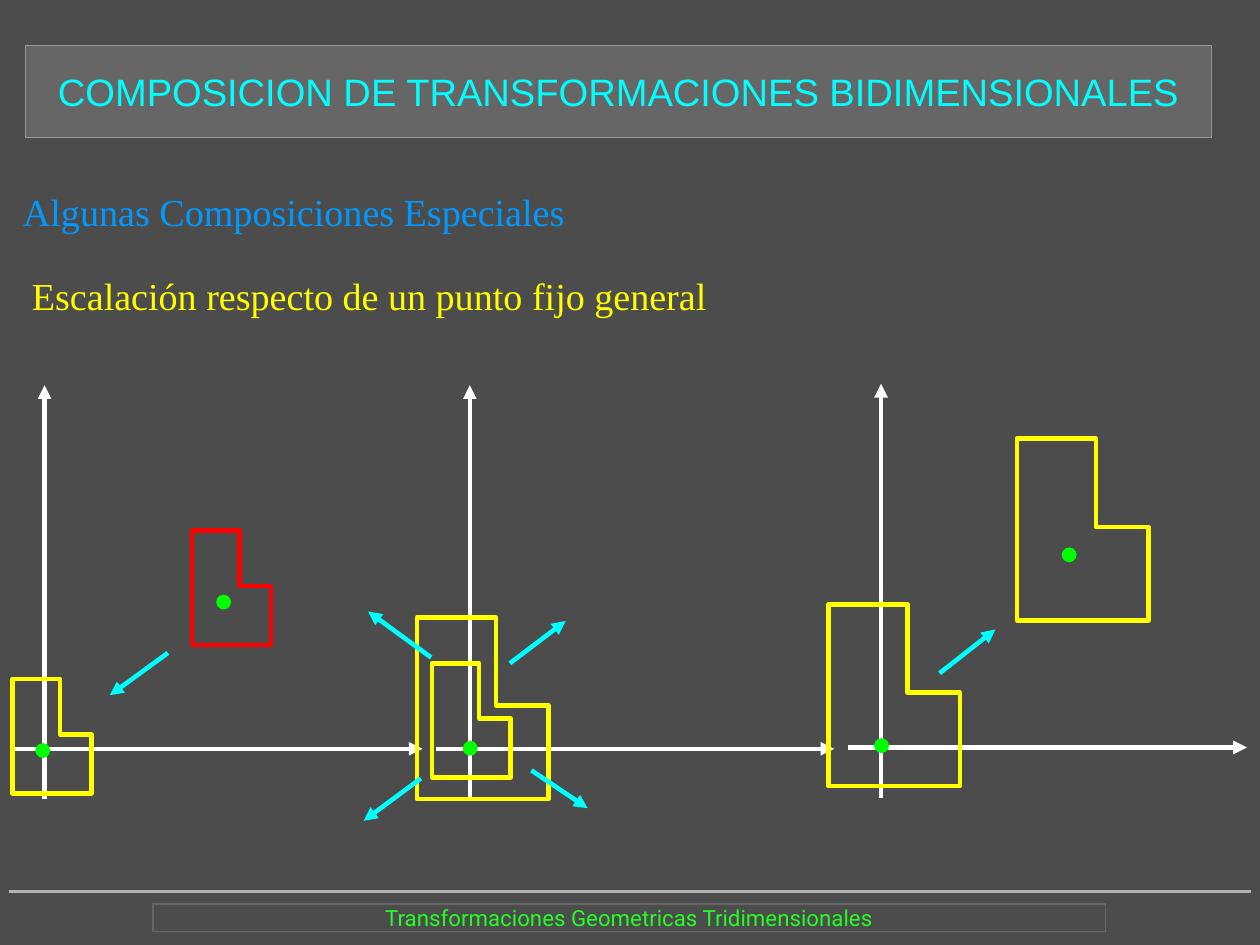
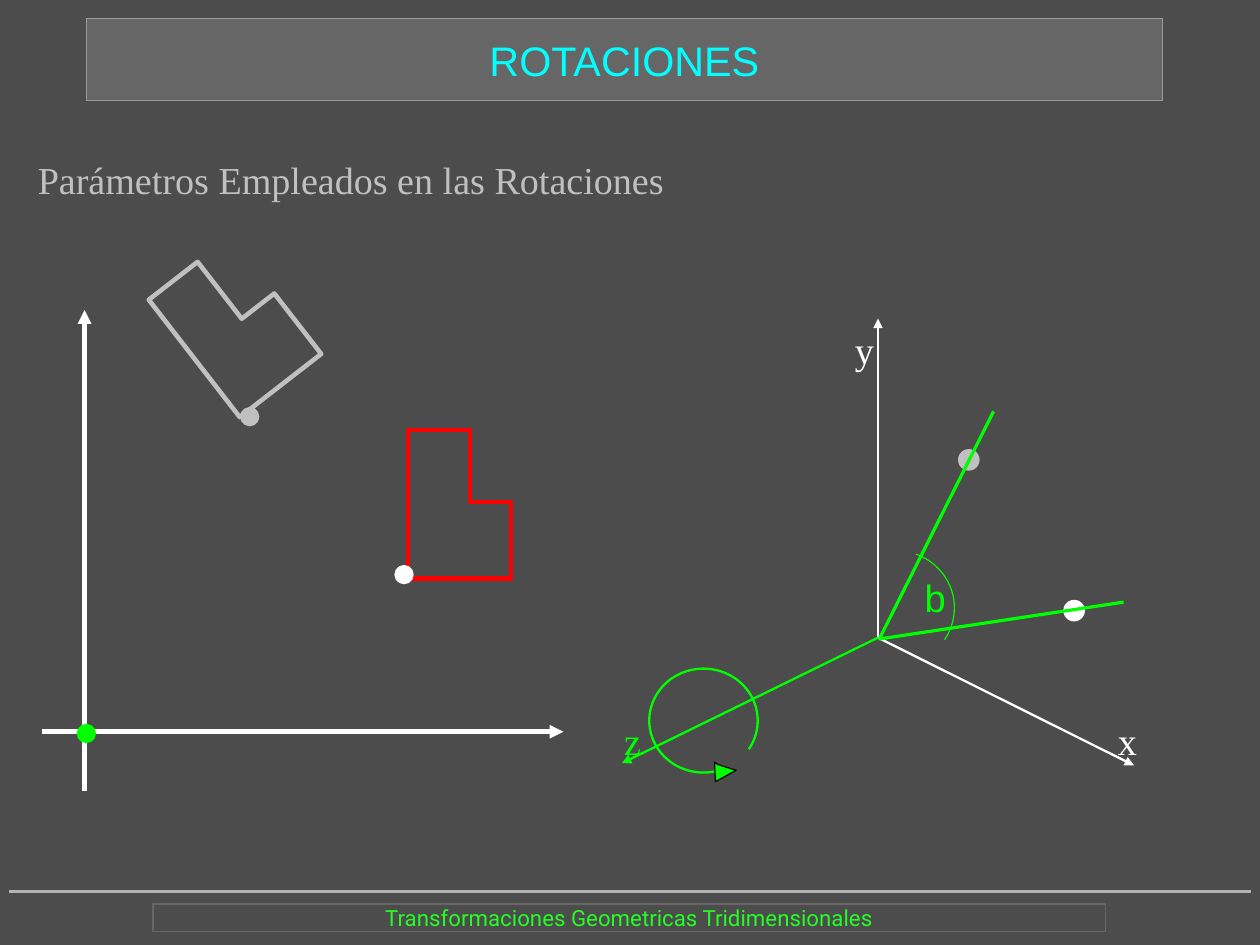
import math
from dataclasses import dataclass

import pptx
import pptx.dml.color
import pptx.enum.shapes
import pptx.enum.text
import pptx.oxml
import pptx.oxml.ns
import pptx.util

Cm = pptx.util.Cm
Pt = pptx.util.Pt
SHAPE = pptx.enum.shapes.MSO_SHAPE
ALIGN = pptx.enum.text.PP_ALIGN
ANCHOR = pptx.enum.text.MSO_ANCHOR


@dataclass(frozen=True)
class Theme:
    back: str = "4C4C4C"
    band: str = "666666"
    band_edge: str = "999999"
    rule: str = "B3B3B3"
    footer: str = "23FF23"
    cyan: str = "00FFFF"
    blue: str = "0099FF"
    yellow: str = "FFFF00"
    red: str = "FF0000"
    green: str = "00FF00"
    white: str = "FFFFFF"
    grey: str = "C0C0C0"
    black: str = "000000"
    sans: str = "Arial"
    serif: str = "Times New Roman"
    footer_font: str = "Roboto"
    body_size: float = 24
    footer_size: float = 14
    thick: float = 2.89
    medium: float = 1.45
    hairline: float = 0


T = Theme()
SMALL = (1.75, 2.54)
LARGE = (2.92, 4.04)
TURNED = (2.29, 3.3)


def rgb(value):
    return pptx.dml.color.RGBColor.from_string(value)


def paint(sp, fill=None, line=None, width=T.hairline):
    """Set fill and outline; None means there is none."""
    sp.shadow.inherit = False
    if fill:
        sp.fill.solid()
        sp.fill.fore_color.rgb = rgb(fill)
    else:
        sp.fill.background()
    if line:
        sp.line.color.rgb = rgb(line)
        sp.line.width = Pt(width)
    else:
        sp.line.fill.background()


def write(sp, text, color, size=T.body_size, font=T.serif,
          align=ALIGN.LEFT, anchor=ANCHOR.TOP):
    tf = sp.text_frame
    tf.text = text
    tf.word_wrap = True
    tf.auto_size = pptx.enum.text.MSO_AUTO_SIZE.NONE
    tf.vertical_anchor = anchor
    tf.margin_left = tf.margin_right = tf.margin_top = tf.margin_bottom = 0
    p = tf.paragraphs[0]
    p.alignment = align
    r = p.runs[0]
    r.font.name = font
    r.font.size = Pt(size)
    r.font.color.rgb = rgb(color)


class Region:
    """Draws on a slide with lengths in cm, measured from (x, y)."""

    def __init__(self, slide, x=0, y=0):
        self.shapes = slide.shapes
        self.x, self.y = x, y

    def at(self, x, y):
        return Cm(self.x + x), Cm(self.y + y)

    def line(self, start, end, color, width=T.thick, arrow=True):
        c = self.shapes.add_connector(
            pptx.enum.shapes.MSO_CONNECTOR.STRAIGHT,
            *self.at(*start), *self.at(*end))
        c.line.color.rgb = rgb(color)
        c.line.width = Pt(width)
        if arrow:
            tail = pptx.oxml.parse_xml(
                "<a:tailEnd %s type='triangle'/>" % pptx.oxml.ns.nsdecls("a"))
            c.line._get_or_add_ln().append(tail)
        c.element.spPr.append(pptx.oxml.parse_xml(
            "<a:effectLst %s/>" % pptx.oxml.ns.nsdecls("a")))
        return c

    def shape(self, kind, x, y, w, h, **look):
        sp = self.shapes.add_shape(kind, *self.at(x, y), Cm(w), Cm(h))
        paint(sp, **look)
        return sp

    def dot(self, x, y, color, size=0.33):
        self.shape(SHAPE.OVAL, x - size / 2, y - size / 2, size, size, fill=color)

    def arc(self, x, y, w, h, start, end, width):
        sp = self.shape(SHAPE.ARC, x, y, w, h, line=T.green, width=width)
        # angles are stored in 60000ths of a degree, adjustments in 100000ths
        sp.adjustments[0] = start * 0.6
        sp.adjustments[1] = end * 0.6
        return sp

    def polygon(self, points, **look):
        first, *rest = [self.at(*pt) for pt in points]
        fb = self.shapes.build_freeform(*first)
        fb.add_line_segments(rest, close=True)
        paint(fb.convert_to_shape(), **look)

    def l_shape(self, x, y, size, color, angle=0):
        """L outline with its lower left corner at (x, y), turned about it."""
        w, h = size
        cos, sin = math.cos(math.radians(angle)), math.sin(math.radians(angle))
        corners = [(0, 0), (0, 1), (0.6, 1), (0.6, 0.515), (1, 0.515), (1, 0)]
        points = [(x + u * w * cos - v * h * sin, y - u * w * sin - v * h * cos)
                  for u, v in corners]
        self.polygon(points, line=color, width=T.thick)

    def axes(self, up, down, left, right):
        self.line((0, down), (0, -up), T.white)
        self.line((-left, 0), (right, 0), T.white)

    def text(self, x, y, w, text, color):
        sp = self.shapes.add_textbox(*self.at(x, y), Cm(w), Cm(1.02))
        write(sp, text, color)


def add_footer(layout, slide):
    """Build rule and footer, then move them to the shared layout."""
    for ph in list(layout.placeholders):
        if ph.placeholder_format.idx != 0:
            ph.element.getparent().remove(ph.element)
    page = Region(slide)
    rule = page.line((0.2, 19.81), (27.79, 19.81), T.rule, T.hairline, arrow=False)
    sp = page.shape(SHAPE.RECTANGLE, 3.4, 20.09, 21.16, 0.61, line=T.band)
    write(sp, "Transformaciones Geometricas Tridimensionales", T.footer,
          T.footer_size, T.footer_font, ALIGN.CENTER, ANCHOR.MIDDLE)
    for part in (rule, sp):
        layout.shapes.element.append(part.element)


def add_title(slide, box, text, size):
    sp = slide.shapes.title
    sp.left, sp.top, sp.width, sp.height = [Cm(v) for v in box]
    sp.fill.solid()
    sp.fill.fore_color.rgb = rgb(T.band)
    sp.line.color.rgb = rgb(T.band_edge)
    sp.line.width = Pt(T.hairline)
    write(sp, text, T.cyan, size, T.sans, ALIGN.CENTER, ANCHOR.MIDDLE)


def translate_to_origin(slide, x, y):
    g = Region(slide, x, y)
    g.axes(8.08, 1.12, 0.76, 8.4)
    g.l_shape(3.28, -2.31, SMALL, T.red)
    g.dot(3.98, -3.26, T.green)
    g.l_shape(-0.71, 0.99, SMALL, T.yellow)
    g.dot(-0.04, 0.04, T.green)
    g.line((2.74, -2.13), (1.45, -1.19), T.cyan)


def scale_at_origin(slide, x, y):
    g = Region(slide, x, y)
    g.axes(8.08, 1.12, 0.74, 8.1)
    g.dot(0.01, -0.01, T.green)
    g.l_shape(-0.84, 0.64, SMALL, T.yellow)
    g.l_shape(-1.17, 1.12, LARGE, T.yellow)
    for start, end in [((-1.09, 0.66), (-2.36, 1.6)),
                       ((0.89, -1.9), (2.13, -2.84)),
                       ((-0.86, -2.03), (-2.26, -3.05)),
                       ((1.37, 0.48), (2.62, 1.32))]:
        g.line(start, end, T.cyan)


def translate_back(slide, x, y):
    g = Region(slide, x, y)
    g.axes(8.08, 1.12, 0.74, 8.13)
    g.l_shape(-1.17, 0.86, LARGE, T.yellow)
    g.dot(0.01, -0.04, T.green)
    g.line((1.3, -1.65), (2.54, -2.62), T.cyan)
    g.l_shape(3.02, -2.82, LARGE, T.yellow)
    g.dot(4.18, -4.28, T.green)


def rotation_in_plane(slide, x, y):
    g = Region(slide, x, y)
    g.axes(9.37, 1.32, 0.94, 10.64)
    g.l_shape(7.19, -3.4, TURNED, T.red)
    g.dot(7.1, -3.49, T.white, 0.43)
    g.dot(0.04, 0.04, T.green, 0.43)
    g.l_shape(3.45, -6.99, TURNED, T.grey, angle=37.8)
    g.dot(3.67, -7, T.grey, 0.43)


def rotation_in_space(slide, x, y):
    g = Region(slide, x, y)
    # Axes: name, arrow tip, label corner, colour
    for name, tip, label, color in [
            ("y", (0, -7.09), (-0.51, -6.91), T.white),
            ("x", (5.69, 2.84), (5.33, 1.78), T.white),
            ("z", (-5.69, 2.79), (-5.64, 1.78), T.green)]:
        g.line((0, 0), tip, color, T.medium)
        g.text(*label, 0.45, name, color)
    # Turn around z
    g.arc(-5.08, 0.69, 2.41, 2.31, 73.62, 32.3, T.medium)
    g.polygon([(-3.63, 2.77), (-3.61, 3.2), (-3.15, 2.95), (-3.56, 2.82)],
              fill=T.green, line=T.black)
    # Point before and after, with the angle between
    g.dot(4.36, -0.6, T.white, 0.48)
    g.dot(2.02, -3.95, T.grey, 0.48)
    for end in [(5.46, -0.79), (2.57, -5.03)]:
        g.line((0.03, 0.03), end, T.green, T.hairline, arrow=False)
    sp = g.arc(-0.89, -1.93, 2.59, 2.54, 290.43, 33.44, T.hairline)
    write(sp, "b", T.green, font=T.sans, align=ALIGN.CENTER, anchor=ANCHOR.MIDDLE)


def scaling_slide(slide):
    add_title(slide, (0.56, 1.02, 26.37, 2.03),
              "COMPOSICION DE TRANSFORMACIONES BIDIMENSIONALES", 24)
    page = Region(slide)
    page.text(0.51, 4.19, 23.9, "Algunas Composiciones Especiales", T.blue)
    page.text(0.71, 6.05, 15.93,
              "Escalación respecto de un punto fijo general", T.yellow)
    translate_to_origin(slide, 0.99, 16.64)
    scale_at_origin(slide, 10.44, 16.64)
    translate_back(slide, 19.58, 16.61)


def rotation_slide(slide):
    add_title(slide, (1.93, 0.41, 23.9, 1.83), "ROTACIONES", 26)
    Region(slide).text(0.84, 3.48, 23.9,
                       "Parámetros Empleados en las Rotaciones", T.grey)
    rotation_in_plane(slide, 1.88, 16.26)
    rotation_in_space(slide, 19.51, 14.17)


def main():
    prs = pptx.Presentation()
    prs.slide_width, prs.slide_height = Cm(28), Cm(21)
    fill = prs.slide_master.background.fill
    fill.solid()
    fill.fore_color.rgb = rgb(T.back)
    layout = prs.slide_layouts[5]
    builders = [scaling_slide, rotation_slide]
    slides = [prs.slides.add_slide(layout) for _ in builders]
    add_footer(layout, slides[0])
    for build, slide in zip(builders, slides):
        build(slide)
    prs.save("out.pptx")


if __name__ == "__main__":
    main()
